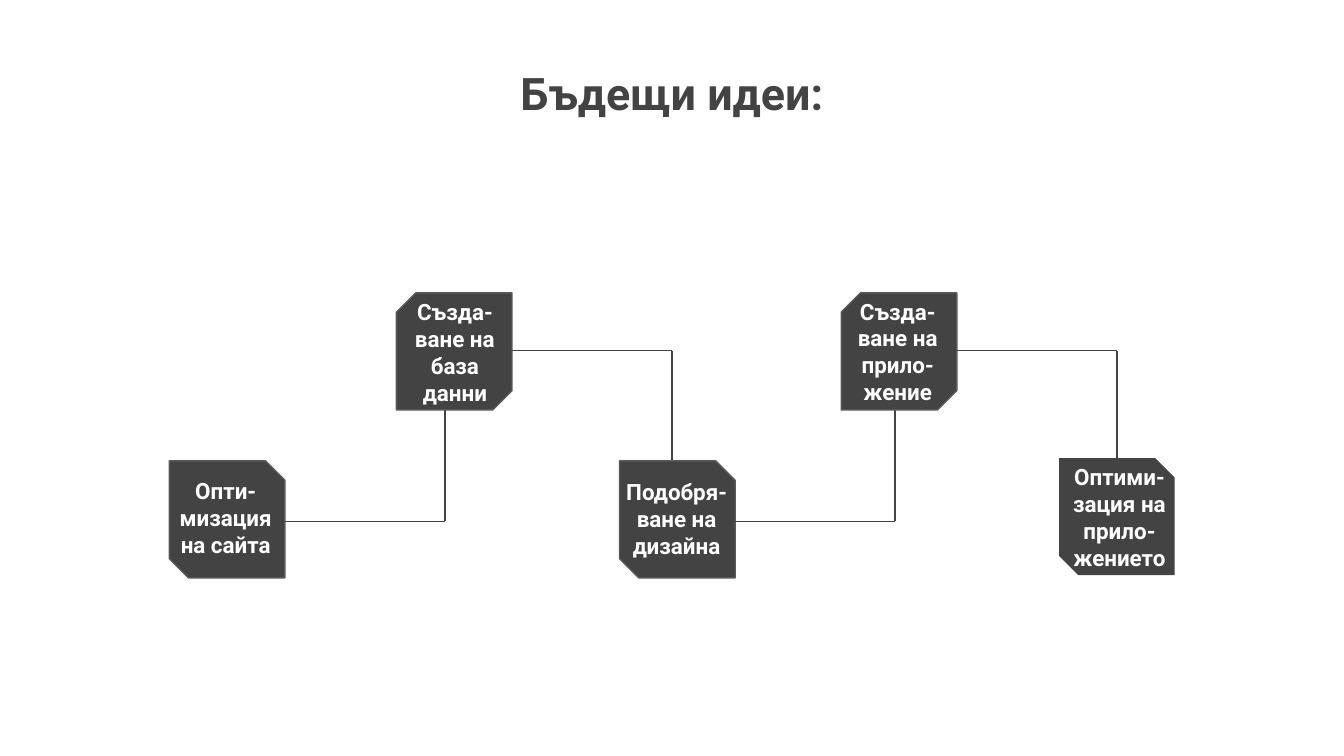
from lxml.etree import SubElement
from pptx import Presentation
from pptx.dml.color import RGBColor
from pptx.enum.shapes import MSO_CONNECTOR, MSO_SHAPE
from pptx.enum.text import MSO_ANCHOR, PP_ALIGN
from pptx.oxml.ns import qn
from pptx.util import Inches, Pt

CHARCOAL = RGBColor(0x43, 0x43, 0x43)
GREY = RGBColor(0x59, 0x59, 0x59)
WHITE = RGBColor(0xFF, 0xFF, 0xFF)

BOX_SIZE = (0.86, 0.87)
SNIP = 1 / 6
LINK_RUN, LINK_RISE = 1.64, 1.0

STEPS = [
    ((1.26, 3.43), False, True),
    ((2.95, 2.18), True, True),
    ((4.61, 3.43), False, True),
    ((6.26, 2.18), True, True),
    ((7.88, 3.41), False, False),
]

LABELS = [
    (["Опти-", "мизация на сайта"], (1.2, 3.45, 0.96, 0.83), MSO_ANCHOR.TOP),
    (["Създа-ване на база данни"], (2.92, 2.12, 0.93, 0.87), MSO_ANCHOR.TOP),
    (["Създа-ване на прило-жение"], (6.25, 2.18, 0.86, 0.87), MSO_ANCHOR.MIDDLE),
    (["Подобря-ване на дизайна"], (4.52, 3.46, 1.03, 0.85), MSO_ANCHOR.TOP),
    (["Оптими-зация на прило-жението"], (7.85, 3.35, 0.96, 0.86), MSO_ANCHOR.TOP),
]


class IdeaSlide:
    font_format = {"name": "Roboto", "bold": True}
    margins = ("margin_left", "margin_top", "margin_right", "margin_bottom")
    line_width = Pt(0.75)

    def __init__(self, slide):
        self.slide = slide

    def text(self, lines, place, size, color, anchor=MSO_ANCHOR.TOP):
        frame = self.slide.shapes.add_textbox(*map(Inches, place)).text_frame
        frame_format = dict.fromkeys(self.margins, Inches(0.1))
        frame_format.update(word_wrap=True, vertical_anchor=anchor)
        for attribute, value in frame_format.items():
            setattr(frame, attribute, value)
        frame.text = "\n".join(lines)
        for paragraph in frame.paragraphs:
            paragraph.alignment = PP_ALIGN.CENTER
            font = paragraph.runs[0].font
            for attribute, value in {**self.font_format, "size": Pt(size)}.items():
                setattr(font, attribute, value)
            font.color.rgb = color

    def box(self, corner, raised, outlined):
        box = self.slide.shapes.add_shape(
            MSO_SHAPE.SNIP_2_DIAG_RECTANGLE, *map(Inches, corner + BOX_SIZE))
        box.adjustments[0], box.adjustments[1] = (SNIP, 0) if raised else (0, SNIP)
        box.shadow.inherit = False
        box.fill.solid()
        box.fill.fore_color.rgb = CHARCOAL
        if outlined:
            box.line.color.rgb = GREY
            box.line.width = self.line_width
        else:
            box.line.fill.background()

    def line(self, start, end):
        line = self.slide.shapes.add_connector(
            MSO_CONNECTOR.STRAIGHT, *map(Inches, start + end))
        line.line.color.rgb = CHARCOAL
        line.line.width = self.line_width
        SubElement(line._element.spPr, qn("a:effectLst"))

    def link(self, corner, raised):
        left, top = corner
        start = (left + 0.41, top + (0.43 if raised else 0.45))
        bend = (start[0] + LINK_RUN, start[1])
        end = (bend[0], bend[1] + (LINK_RISE if raised else -LINK_RISE))
        self.line(start, bend)
        self.line(bend, end)


def main():
    presentation = Presentation()
    presentation.slide_width = Inches(10)
    presentation.slide_height = Inches(10) * 9 // 16
    ideas = IdeaSlide(presentation.slides.add_slide(presentation.slide_layouts[6]))

    ideas.text(["Бъдещи идеи:"], (2.15, 0.39, 5.7, 1.03), 24, CHARCOAL)
    for corner, raised, linked in STEPS:
        ideas.box(corner, raised, outlined=linked)
        if linked:
            ideas.link(corner, raised)
    for lines, place, anchor in LABELS:
        ideas.text(lines, place, 12, WHITE, anchor)

    presentation.save("out.pptx")


if __name__ == "__main__":
    main()
